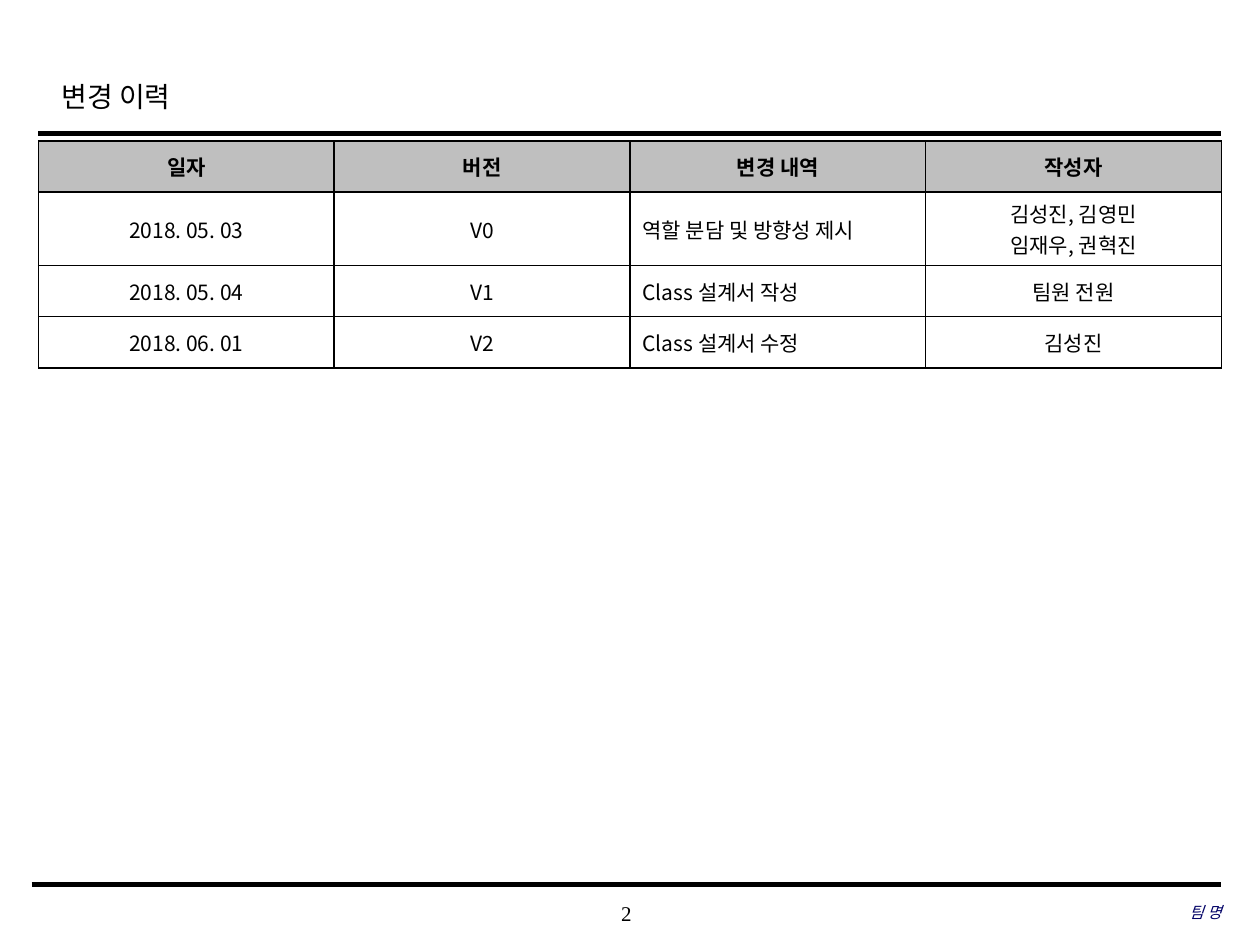
"""Build the change history slide with its version table."""
import pptx
import pptx.util
import pptx.dml.color
import pptx.enum.shapes
import pptx.enum.text
import pptx.oxml.ns
import lxml.etree

Pt = pptx.util.Pt
ALIGN = pptx.enum.text.PP_ALIGN
MIDDLE = pptx.enum.text.MSO_ANCHOR.MIDDLE
COLORS = {"ink": "000000", "team": "000066", "header": "BFBFBF", "paper": "FFFFFF"}
SERIF = "Times New Roman"
SANS = "Noto Sans CJK KR"


def rgb(name):
    return pptx.dml.color.RGBColor.from_string(COLORS[name])


def add_xml(parent, tag, **attributes):
    return lxml.etree.SubElement(parent, pptx.oxml.ns.qn(tag), attributes)


class SlideBuilder:
    """Hold the style and the current slide."""

    def __init__(self, deck):
        self.page = deck.slides.add_slide(deck.slide_layouts[5])

    def set_text(self, frame, text, size, font, align, color="ink", bold=False, italic=False):
        frame.text = text
        for para in frame.paragraphs:
            para.alignment = align
            for span in para.runs:
                span.font.size = Pt(size)
                span.font.name = font
                span.font.bold = bold
                span.font.italic = italic
                span.font.color.rgb = rgb(color)
                add_xml(span.font._element, "a:ea", typeface=SANS)

    def title(self, text, left, top, width, height):
        box = self.page.shapes.title
        box.left, box.top, box.width, box.height = map(Pt, (left, top, width, height))
        box.text_frame.vertical_anchor = MIDDLE
        self.set_text(box.text_frame, text, 16, SERIF, ALIGN.LEFT)
        box.text_frame.paragraphs[0].line_spacing = 1.2

    def label(self, text, left, top, width, height, size, align, **style):
        box = self.page.shapes.add_textbox(*map(Pt, (left, top, width, height)))
        frame = box.text_frame
        frame.word_wrap = True
        frame.vertical_anchor = MIDDLE
        frame.margin_left = frame.margin_right = frame.margin_top = frame.margin_bottom = 0
        self.set_text(frame, text, size, SERIF, align, **style)

    def rule(self, left, right, top, weight):
        line = self.page.shapes.add_connector(
            pptx.enum.shapes.MSO_CONNECTOR.STRAIGHT, Pt(left), Pt(top), Pt(right), Pt(top))
        line.line.color.rgb = rgb("ink")
        line.line.width = Pt(weight)
        add_xml(line._element.spPr, "a:effectLst")

    def borders(self, cell):
        properties = cell._tc.get_or_add_tcPr()
        for side in ("a:lnL", "a:lnR", "a:lnT", "a:lnB"):
            edge = add_xml(properties, side, w=str(Pt(1)))
            add_xml(add_xml(edge, "a:solidFill"), "a:srgbClr", val=COLORS["ink"])

    def table(self, rows, heights, left, top, width):
        frame = self.page.shapes.add_table(
            len(rows), len(rows[0]), Pt(left), Pt(top), Pt(width), Pt(sum(heights)))
        grid = frame.table
        for row, height in zip(grid.rows, heights):
            row.height = Pt(height)
        for row_index, texts in enumerate(rows):
            header = row_index == 0
            for column_index, text in enumerate(texts):
                cell = grid.cell(row_index, column_index)
                self.borders(cell)
                cell.fill.solid()
                cell.fill.fore_color.rgb = rgb("header" if header else "paper")
                cell.vertical_anchor = MIDDLE
                description = column_index == 2 and not header
                align = ALIGN.LEFT if description else ALIGN.CENTER
                self.set_text(cell.text_frame, text, 12, SANS, align, bold=header)


HISTORY = [
    ("일자", "버전", "변경 내역", "작성자"),
    ("2018. 05. 03", "V0", "역할 분담 및 방향성 제시", "김성진, 김영민\n임재우, 권혁진"),
    ("2018. 05. 04", "V1", "Class 설계서 작성", "팀원 전원"),
    ("2018. 06. 01", "V2", "Class 설계서 수정", "김성진"),
]

deck = pptx.Presentation()
deck.slide_width, deck.slide_height = Pt(720), Pt(540)
slide = SlideBuilder(deck)
slide.label("2", 283, 510, 150, 24, 12, ALIGN.CENTER)
slide.rule(22, 698, 76.3, 2.5)
slide.rule(18, 698, 505.4, 3)
slide.title("변경 이력", 28, 35, 544, 36)
slide.label("팀 명", 477.5, 509, 220.5, 24, 9, ALIGN.RIGHT, color="team", italic=True)
slide.table(HISTORY, [29.2, 42, 29.2, 29.2], 22, 80.6, 676)
deck.save("out.pptx")
